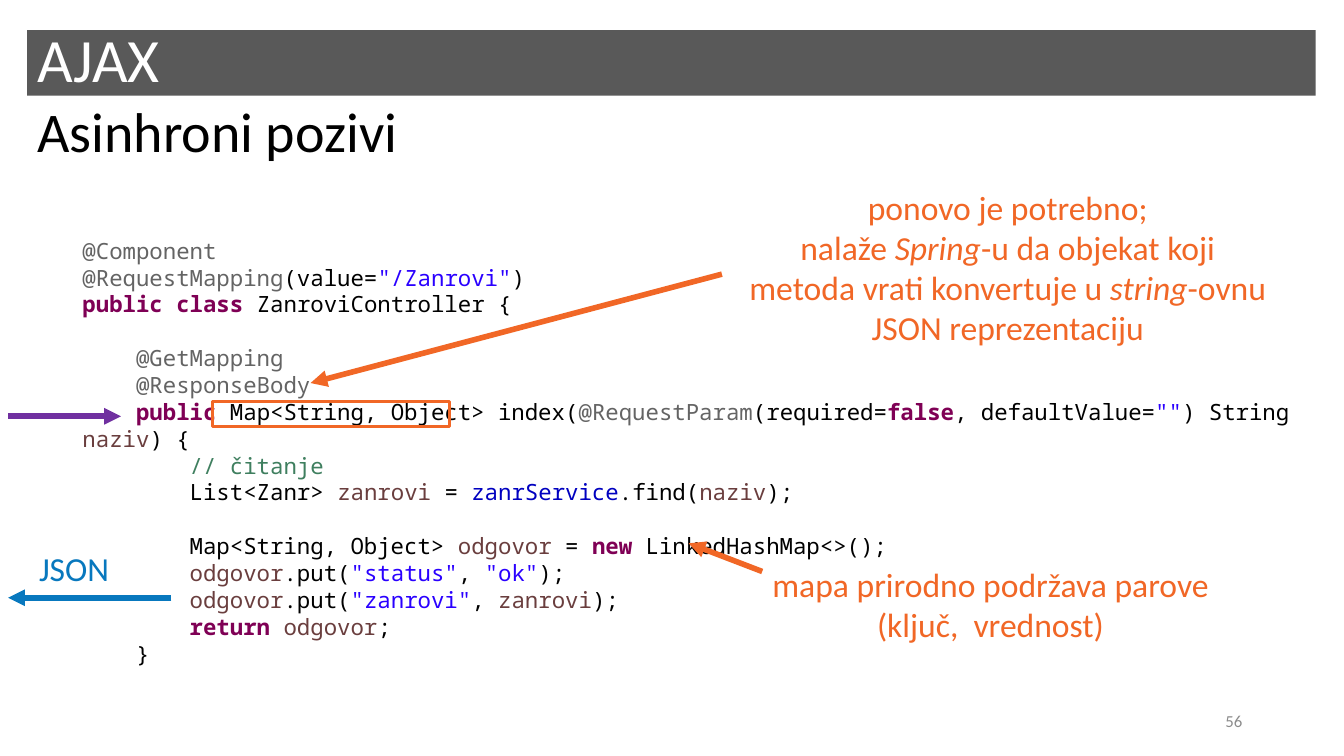
import lxml.etree
import pptx
import pptx.dml.color
import pptx.enum.dml
import pptx.enum.shapes
import pptx.enum.text
import pptx.oxml.ns
import pptx.util

Inches = pptx.util.Inches
Align = pptx.enum.text.PP_ALIGN
Anchor = pptx.enum.text.MSO_ANCHOR
qn = pptx.oxml.ns.qn

COLORS = {
    "bar": "595959", "white": "FFFFFF", "plain": "000000", "number": "8C8C8C",
    "note": "F16726", "request": "7030A0", "response": "0878BE",
    "annotation": "646464", "string": "2A00FF", "keyword": "7F0055",
    "variable": "6A3E3E", "comment": "3F7F5F", "field": "0000C0",
}
BODY_FONT = "Calibri"
CODE_FONT = "Noto Sans Mono"

# Each code line is a list of (token kind, text) pairs.
CODE = [
    [("annotation", "@Component")],
    [("annotation", "@RequestMapping"), ("plain", "(value="),
     ("string", '"/Zanrovi"'), ("plain", ")")],
    [("keyword", "public class "), ("plain", "ZanroviController {")],
    [],
    [("annotation", "    @GetMapping")],
    [("annotation", "    @ResponseBody")],
    [("keyword", "    public"), ("plain", " Map<String, Object> index("),
     ("annotation", "@RequestParam"), ("plain", "(required="),
     ("keyword", "false"), ("plain", ", defaultValue="), ("string", '""'),
     ("plain", ") String "), ("variable", "naziv"), ("plain", ") {")],
    [("comment", "        // čitanje")],
    [("plain", "        List<Zanr> "), ("variable", "zanrovi"),
     ("plain", " = "), ("field", "zanrService"), ("plain", ".find("),
     ("variable", "naziv"), ("plain", ");")],
    [],
    [("plain", "        Map<String, Object> "), ("variable", "odgovor"),
     ("plain", " = "), ("keyword", "new "), ("plain", "LinkedHashMap<>();")],
    [("variable", "        odgovor"), ("plain", ".put("),
     ("string", '"status"'), ("plain", ", "), ("string", '"ok"'),
     ("plain", ");")],
    [("variable", "        odgovor"), ("plain", ".put("),
     ("string", '"zanrovi"'), ("plain", ", "), ("variable", "zanrovi"),
     ("plain", ");")],
    [("keyword", "        return "), ("variable", "odgovor"), ("plain", ";")],
    [("plain", "    }")],
]


def rgb(name):
    return pptx.dml.color.RGBColor.from_string(COLORS[name])


def add_run(paragraph, text, size, color="plain", font=BODY_FONT, bold=False,
            italic=False):
    run = paragraph.add_run()
    run.text = text
    run.font.name = font
    run.font.size = pptx.util.Pt(size)
    run.font.color.rgb = rgb(color)
    run.font.bold = bold
    run.font.italic = italic


def set_empty_line(paragraph, size, font):
    """Give a paragraph without runs the height of its neighbours."""
    properties = lxml.etree.SubElement(
        paragraph._p, qn("a:endParaRPr"), sz=str(size * 100))
    lxml.etree.SubElement(properties, qn("a:latin"), typeface=font)


class SlideBuilder:
    def __init__(self, slide):
        self.slide = slide

    def text(self, box, lines, size, color="plain", align=Align.LEFT,
             anchor=Anchor.TOP, spacing=1.0):
        """Add a text box; in each line every second part, split at *, is italic."""
        shape = self.slide.shapes.add_textbox(*map(Inches, box))
        self.fill_text(shape, lines, size, color, align, anchor, spacing)

    def fill_text(self, shape, lines, size, color, align, anchor, spacing):
        for paragraph in self.paragraphs(shape, lines, anchor):
            line = lines[paragraph[0]]
            paragraph[1].alignment = align
            paragraph[1].line_spacing = spacing
            for index, part in enumerate(line.split("*")):
                add_run(paragraph[1], part, size, color, italic=index % 2 == 1)

    def paragraphs(self, shape, lines, anchor):
        """Yield (index, paragraph) for each line of the shape."""
        frame = shape.text_frame
        frame.word_wrap = True
        frame.vertical_anchor = anchor
        for index in range(len(lines)):
            yield index, frame.add_paragraph() if index else frame.paragraphs[0]

    def code(self, box, lines, size):
        shape = self.slide.shapes.add_textbox(*map(Inches, box))
        for index, paragraph in self.paragraphs(shape, lines, Anchor.TOP):
            for kind, text in lines[index]:
                add_run(paragraph, text, size, kind, CODE_FONT,
                        bold=kind == "keyword")
            if not lines[index]:
                set_empty_line(paragraph, size, CODE_FONT)

    def rectangle(self, box, fill=None, line=None, width=2):
        shape = self.slide.shapes.add_shape(
            pptx.enum.shapes.MSO_SHAPE.RECTANGLE, *map(Inches, box))
        shape.shadow.inherit = False
        if fill:
            shape.fill.solid()
            shape.fill.fore_color.rgb = rgb(fill)
        else:
            shape.fill.background()
        if line:
            shape.line.color.rgb = rgb(line)
            shape.line.width = pptx.util.Pt(width)
        else:
            shape.line.fill.background()
        return shape

    def arrow(self, start, end, color, width=4):
        connector = self.slide.shapes.add_connector(
            pptx.enum.shapes.MSO_CONNECTOR.STRAIGHT,
            *map(Inches, start + end))
        connector.line.color.rgb = rgb(color)
        connector.line.width = pptx.util.Pt(width)
        lxml.etree.SubElement(
            connector.line._get_or_add_ln(), qn("a:tailEnd"), type="triangle")
        lxml.etree.SubElement(connector._element.spPr, qn("a:effectLst"))


def main():
    presentation = pptx.Presentation()
    presentation.slide_width = Inches(13.33)
    presentation.slide_height = Inches(7.5)
    slide = presentation.slides.add_slide(presentation.slide_layouts[6])
    builder = SlideBuilder(slide)

    builder.code((0.72, 2.3, 12.33, 4.14), CODE, 16)
    title_bar = builder.rectangle((0.27, 0.3, 12.78, 0.65), fill="bar")
    builder.fill_text(title_bar, ["AJAX"], 44, "white", Align.LEFT,
                      Anchor.MIDDLE, 0.9)
    builder.text((0.27, 1.05, 12.78, 0.57), ["Asinhroni pozivi"], 40,
                 anchor=Anchor.MIDDLE, spacing=0.9)
    builder.text((9.42, 6.95, 3, 0.4), ["56"], 12, "number", Align.RIGHT,
                 Anchor.MIDDLE)

    builder.arrow((0.08, 4.13), (1.2, 4.13), "request")
    builder.arrow((1.7, 5.93), (0.08, 5.93), "response")
    builder.arrow((7.16, 2.72), (3.08, 3.8), "note")
    builder.text((7.16, 5.54, 5.33, 0.91),
                 ["mapa prirodno podržava parove (ključ,  vrednost)"],
                 24, "note", Align.CENTER)
    builder.text((7.33, 1.8, 5.33, 1.72),
                 ["ponovo je potrebno;",
                  "nalaže *Spring*-u da objekat koji metoda vrati konvertuje u "
                  "*string*-ovnu JSON reprezentaciju"],
                 24, "note", Align.CENTER)
    builder.arrow((7.56, 5.67), (6.83, 5.39), "note")
    builder.rectangle((2.11, 3.98, 2.35, 0.25), line="note")
    builder.text((0.27, 5.39, 0.93, 0.5), ["JSON"], 24, "response",
                 Align.CENTER)

    presentation.save("out.pptx")


if __name__ == "__main__":
    main()
